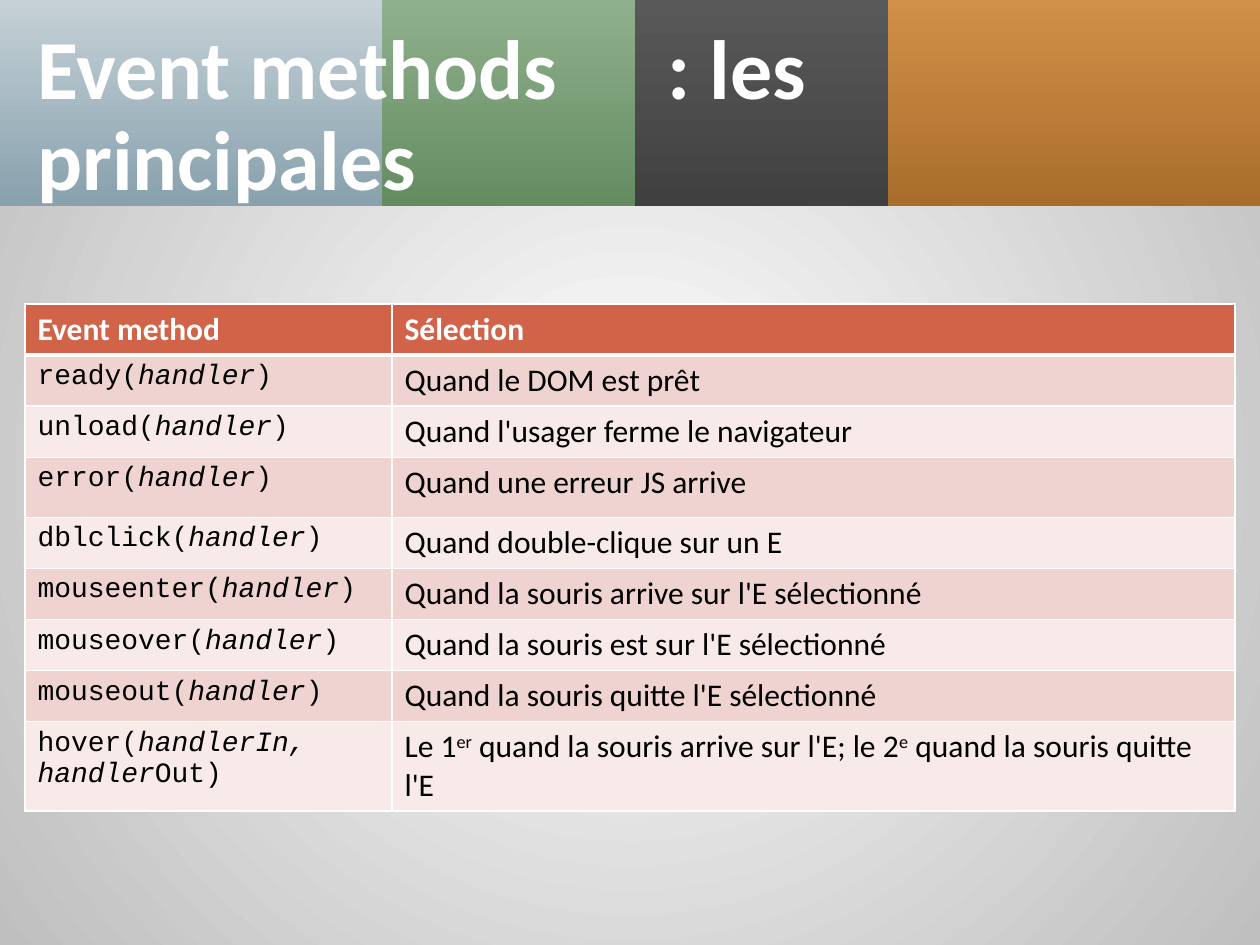
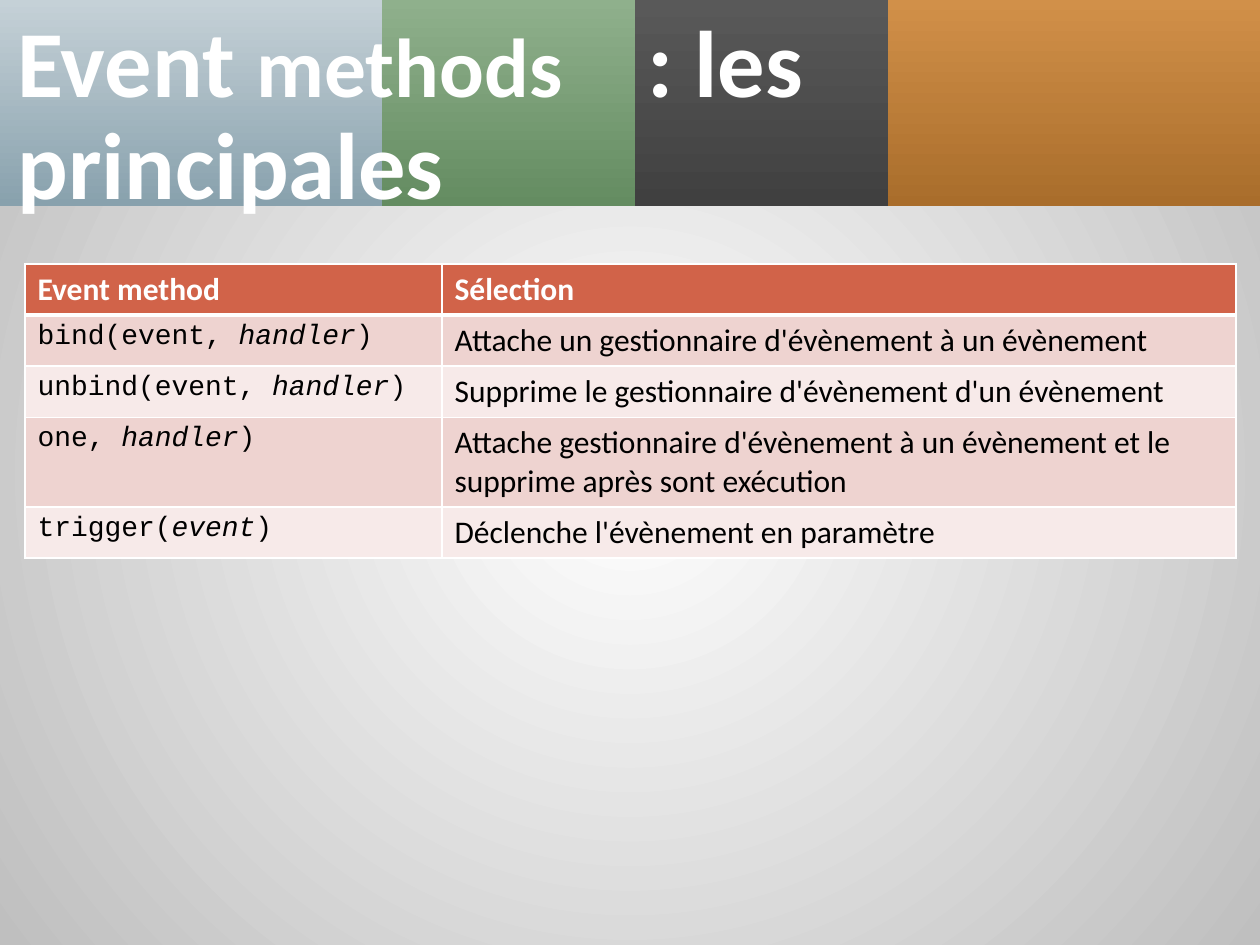
from itertools import pairwise

from pptx import Presentation, util as u
from pptx.dml.color import RGBColor
from pptx.enum import shapes, text as t
from pptx.oxml import ns, xmlchemy

PX = 914400 / 126
WIDTH, HEIGHT = 1260, 945

WHITE = RGBColor(0xFF, 0xFF, 0xFF)
BLACK = RGBColor(0, 0, 0)
GREY = RGBColor(0xBF, 0xBF, 0xBF)
HEADER_RED = RGBColor(0xD1, 0x63, 0x49)
ROW_TINTS = (RGBColor(0xEE, 0xD3, 0xD0), RGBColor(0xF7, 0xEA, 0xE9))

BAND_HEIGHT = 206
BAND_EDGES = (0, 382, 635, 888, WIDTH)
BAND_COLOURS = (
    (RGBColor(0xC5, 0xD1, 0xD7), RGBColor(0x88, 0xA1, 0xAD)),
    (RGBColor(0x8F, 0xB0, 0x8C), RGBColor(0x64, 0x8C, 0x61)),
    (RGBColor(0x59, 0x59, 0x59), RGBColor(0x40, 0x40, 0x40)),
    (RGBColor(0xD1, 0x90, 0x49), RGBColor(0xA9, 0x6D, 0x2B)),
)

BODY_FONT, CODE_FONT = "Calibri", "Courier New"
ROW_HEIGHT = 51
TITLE_TAB = 630

HEADINGS = ("Event method", "Sélection")
MAIN_EVENTS = (
    ("ready(|handler|)", "Quand le DOM est prêt"),
    ("unload(|handler|)", "Quand l'usager ferme le navigateur"),
    ("error(|handler|)", "Quand une erreur JS arrive"),
    ("dblclick(|handler|)", "Quand double-clique sur un E"),
    ("mouseenter(|handler|)", "Quand la souris arrive sur l'E sélectionné"),
    ("mouseover(|handler|)", "Quand la souris est sur l'E sélectionné"),
    ("mouseout(|handler|)", "Quand la souris quitte l'E sélectionné"),
    ("hover(|handlerIn, handler|Out)",
     "Le 1|er| quand la souris arrive sur l'E; le 2|e| quand la souris quitte l'E"),
)
HANDLER_EVENTS = (
    ("bind(event, |handler|)", "Attache un gestionnaire d'évènement à un évènement"),
    ("unbind(event, |handler|)", "Supprime le gestionnaire d'évènement d'un évènement"),
    ("one, |handler|)",
     "Attache gestionnaire d'évènement à un évènement et le supprime après sont exécution"),
    ("trigger(|event|)", "Déclenche l'évènement en paramètre"),
)


def px(length):
    return u.Emu(round(length * PX))


def add_xml(parent, tag, **attributes):
    child = xmlchemy.OxmlElement(tag)
    for name, value in attributes.items():
        child.set(name, str(value))
    parent.append(child)
    return child


def write(para, words, accent=None, **style):
    """Fill a paragraph; words between bars also take the accent's format."""
    for index, piece in enumerate(words.split("|")):
        if piece:
            span = para.add_run()
            span.text = piece
            format_span(span, **(style | (accent or {}) if index % 2 else style))


def format_span(span, size=18, font=BODY_FONT, colour=BLACK, bold=False,
                italic=False, raised=0):
    span.font.size, span.font.name = u.Pt(size), font
    span.font.bold, span.font.italic = bold, italic
    span.font.color.rgb = colour
    if raised:
        span.font._element.set("baseline", str(raised * 1000))


def paint_gradient(fill, colours):
    """Run a gradient from top to bottom."""
    fill.gradient()
    fill.gradient_angle = 270
    for stop, colour in zip(fill.gradient_stops, colours):
        stop.color.rgb = colour


def border_cell(cell, top=1, bottom=1):
    properties = cell._tc.get_or_add_tcPr()
    for side, points in (("L", 1), ("R", 1), ("T", top), ("B", bottom)):
        line = add_xml(properties, f"a:ln{side}", w=u.Pt(points))
        add_xml(add_xml(line, "a:solidFill"), "a:srgbClr", val=WHITE)


class Slides:
    def __init__(self):
        self.deck = Presentation()
        self.deck.slide_width, self.deck.slide_height = px(WIDTH), px(HEIGHT)
        self.page = None

    def new_page(self):
        self.page = self.deck.slides.add_slide(self.deck.slide_layouts[6])
        self.background()
        for (left, right), colours in zip(pairwise(BAND_EDGES), BAND_COLOURS):
            self.band(left, right - left, colours)

    def background(self):
        """Make the page light up from its centre."""
        paint_gradient(self.page.background.fill, (WHITE, GREY))
        linear = next(self.page.element.iter(ns.qn("a:lin")))
        gradient = linear.getparent()
        gradient.remove(linear)
        circle = add_xml(gradient, "a:path", path="circle")
        add_xml(circle, "a:fillToRect", l=50000, t=50000, r=50000, b=50000)

    def band(self, left, width, colours):
        band = self.page.shapes.add_shape(
            shapes.MSO_SHAPE.RECTANGLE, px(left), 0, px(width), px(BAND_HEIGHT))
        band.shadow.inherit = False
        band.line.fill.background()
        paint_gradient(band.fill, colours)

    def title(self, words, left, width, size, accent=None):
        box = self.page.shapes.add_textbox(px(left), px(26), px(width), px(183))
        frame = box.text_frame
        frame.word_wrap = True
        frame.auto_size = t.MSO_AUTO_SIZE.NONE
        frame.vertical_anchor = t.MSO_ANCHOR.MIDDLE
        para = frame.paragraphs[0]
        tabs = add_xml(para._p.get_or_add_pPr(), "a:tabLst")
        add_xml(tabs, "a:tab", pos=px(TITLE_TAB), algn="l")
        para.line_spacing = 0.9
        write(para, words, accent, size=size, colour=WHITE, bold=True)

    def event_table(self, events, top, widths, tall_row):
        rows = (HEADINGS, *events)
        table = self.page.shapes.add_table(
            len(rows), len(widths), px(25), px(top),
            px(sum(widths)), px(ROW_HEIGHT * len(rows))).table
        table.horz_banding = False
        for column, width in zip(table.columns, widths):
            column.width = px(width)
        for index, (row, (method, meaning)) in enumerate(zip(table.rows, rows)):
            row.height = px(60 if index == tall_row else ROW_HEIGHT)
            method_cell, meaning_cell = row.cells
            for cell in row.cells:
                border_cell(cell, top=3 if index == 1 else 1,
                            bottom=3 if index == 0 else 1)
                cell.fill.solid()
                cell.fill.fore_color.rgb = (
                    ROW_TINTS[(index - 1) % 2] if index else HEADER_RED)
            method_para = method_cell.text_frame.paragraphs[0]
            meaning_para = meaning_cell.text_frame.paragraphs[0]
            if index == 0:
                write(method_para, method, colour=WHITE, bold=True)
                write(meaning_para, meaning, colour=WHITE, bold=True)
            else:
                write(method_para, method, {"italic": True}, size=16, font=CODE_FONT)
                write(meaning_para, meaning, {"raised": 30})


def main():
    slides = Slides()

    slides.new_page()
    slides.title("Event methods\t: les principales", left=25, width=1190, size=48)
    slides.event_table(MAIN_EVENTS, top=304, widths=(367, 843), tall_row=3)

    slides.new_page()
    slides.title("Event |methods|\t: les principales", left=5, width=1255, size=54,
                 accent={"size": 47.7})
    slides.event_table(HANDLER_EVENTS, top=264, widths=(417, 794), tall_row=3)

    slides.deck.save("out.pptx")


if __name__ == "__main__":
    main()
